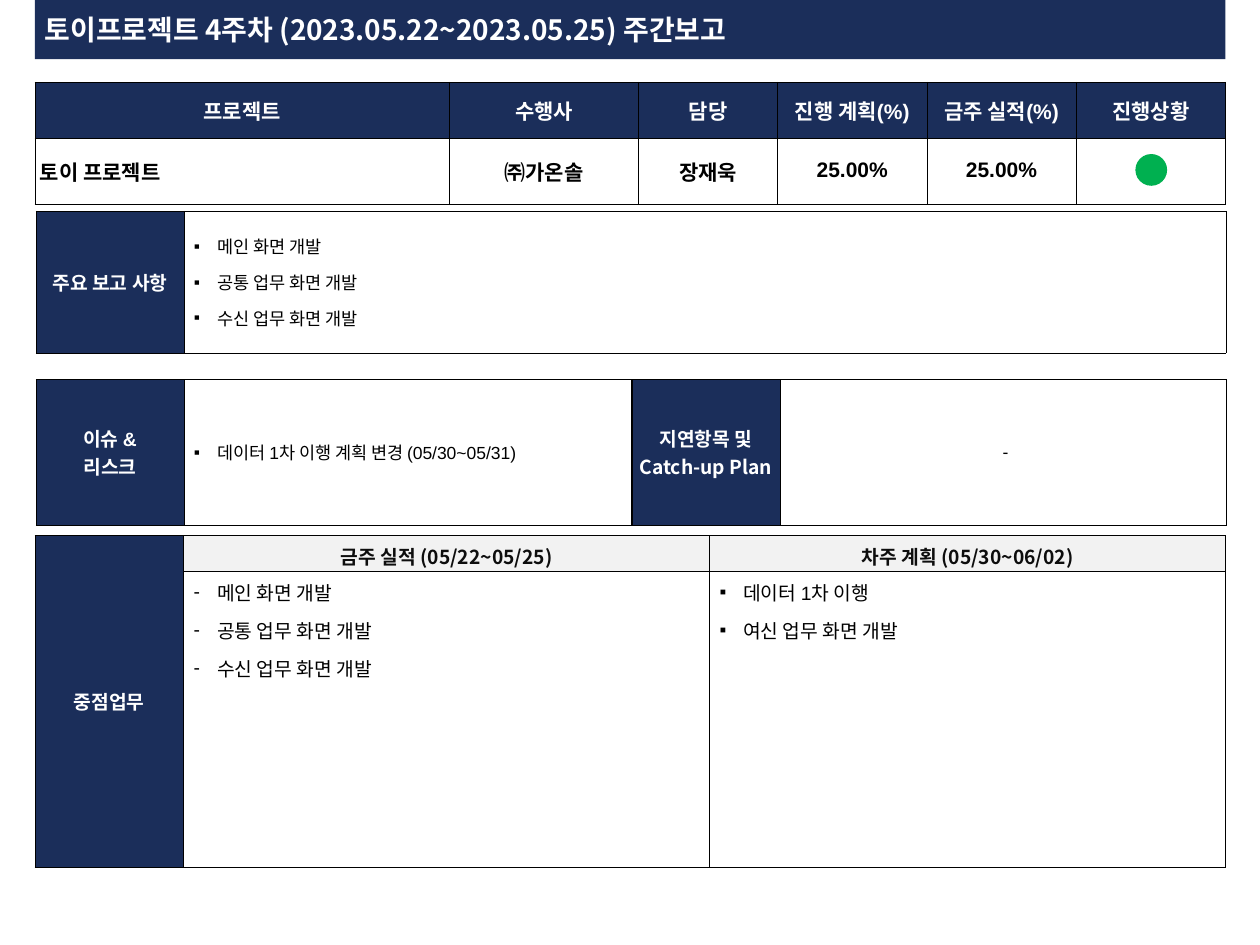
import dataclasses

import lxml.etree
import pptx
import pptx.dml.color
import pptx.enum.shapes
import pptx.enum.text
import pptx.oxml.ns
import pptx.util

Pt = pptx.util.Pt
qn = pptx.oxml.ns.qn
ANCHOR = pptx.enum.text.MSO_ANCHOR
ALIGN = pptx.enum.text.PP_ALIGN


@dataclasses.dataclass(frozen=True)
class Theme:
    navy: str = "1B2E5A"
    white: str = "FFFFFF"
    black: str = "000000"
    ink: str = "0D0D0D"
    pale: str = "F2F2F2"
    green: str = "00B050"
    latin: str = "Arial"
    korean: str = "Noto Sans CJK KR"
    title: float = 16
    heading: float = 12
    label: float = 11
    body: float = 10
    border: float = 0.25
    indent: float = 13.5


@dataclasses.dataclass(frozen=True)
class CellStyle:
    size: float
    color: str
    fill: str = ""
    font: str = "Arial"
    bold: bool = True
    bullet: str = ""
    align: ALIGN = ALIGN.CENTER
    anchor: ANCHOR = ANCHOR.MIDDLE
    before: float = 0
    after: float = 0
    line: float = 1.0
    margins: tuple = (2.9, 3.6, 2.9, 3.6)


def rgb(value):
    return pptx.dml.color.RGBColor.from_string(value)


class Report:
    def __init__(self, slide, theme):
        self.slide = slide
        self.theme = theme

    def shape(self, kind, left, top, width, height, color, outlined=False):
        shape = self.slide.shapes.add_shape(kind, Pt(left), Pt(top), Pt(width), Pt(height))
        shape.shadow.inherit = False
        shape.fill.solid()
        shape.fill.fore_color.rgb = rgb(color)
        if outlined:
            shape.line.color.rgb = rgb(color)
            shape.line.width = Pt(0.75)
        else:
            shape.line.fill.background()

    def title(self, left, top, width, height, text):
        box = self.slide.shapes.add_textbox(Pt(left), Pt(top), Pt(width), Pt(height))
        frame = box.text_frame
        frame.word_wrap = False
        style = CellStyle(self.theme.title, self.theme.white, font=self.theme.korean,
                          align=ALIGN.LEFT, margins=(5.7, 2.9, 5.7, 2.9))
        frame.vertical_anchor = style.anchor
        (frame.margin_left, frame.margin_top,
         frame.margin_right, frame.margin_bottom) = map(Pt, style.margins)
        self.add_lines(frame, [text], style)

    def add_lines(self, frame, lines, style):
        for index, text in enumerate(lines):
            paragraph = frame.add_paragraph() if index else frame.paragraphs[0]
            paragraph.alignment = style.align
            paragraph.space_before = Pt(style.before)
            paragraph.space_after = Pt(style.after)
            paragraph.line_spacing = style.line
            if style.bullet:
                self.bullet(paragraph, style.bullet)
            run = paragraph.add_run()
            run.text = text
            run.font.size = Pt(style.size)
            run.font.bold = style.bold
            run.font.name = style.font
            run.font.color.rgb = rgb(style.color)
            east_asian = lxml.etree.Element(qn("a:ea"), typeface=self.theme.korean)
            run._r.get_or_add_rPr().find(qn("a:latin")).addnext(east_asian)

    def bullet(self, paragraph, mark):
        properties = paragraph._p.get_or_add_pPr()
        indent = Pt(self.theme.indent)
        properties.set("marL", str(indent))
        properties.set("indent", str(-indent))
        lxml.etree.SubElement(properties, qn("a:buFont"), typeface=self.theme.latin)
        lxml.etree.SubElement(properties, qn("a:buChar"), char=mark)

    def borders(self, cell):
        properties = cell._tc.get_or_add_tcPr()
        for index, side in enumerate(("lnL", "lnR", "lnT", "lnB")):
            line = lxml.etree.Element(qn("a:" + side), w=str(Pt(self.theme.border)))
            fill = lxml.etree.SubElement(line, qn("a:solidFill"))
            lxml.etree.SubElement(fill, qn("a:srgbClr"), val=self.theme.black)
            properties.insert(index, line)

    def table(self, left, top, columns, rows, cells, merge=None):
        """Draw a grid; cells maps (row, column) to (lines, style)."""
        table = self.slide.shapes.add_table(
            len(rows), len(columns), Pt(left), Pt(top), Pt(sum(columns)), Pt(sum(rows))).table
        table.first_row = table.horz_banding = False
        for column, width in zip(table.columns, columns):
            column.width = Pt(width)
        for row, height in zip(table.rows, rows):
            row.height = Pt(height)
        for cell in table.iter_cells():
            cell.fill.background()
            self.borders(cell)
        if merge:
            start, end = merge
            table.cell(*start).merge(table.cell(*end))
        for position, (lines, style) in cells.items():
            cell = table.cell(*position)
            if style.fill:
                cell.fill.solid()
                cell.fill.fore_color.rgb = rgb(style.fill)
            cell.vertical_anchor = style.anchor
            (cell.margin_left, cell.margin_top,
             cell.margin_right, cell.margin_bottom) = map(Pt, style.margins)
            self.add_lines(cell.text_frame, lines, style)


def main():
    presentation = pptx.Presentation()
    presentation.slide_width, presentation.slide_height = Pt(720), Pt(540)
    theme = Theme()
    report = Report(presentation.slides.add_slide(presentation.slide_layouts[6]), theme)
    shapes = pptx.enum.shapes.MSO_SHAPE
    vary = dataclasses.replace
    left, inner_left, width = 19.9, 20.6, 680.4

    # Cell styles
    heading = CellStyle(theme.heading, theme.white, theme.navy, before=2.4, margins=(2.9,) * 4)
    value = vary(heading, color=theme.black, fill="")
    percent = vary(value, line=0.9)
    label = CellStyle(theme.label, theme.white, theme.navy)
    korean_label = vary(label, font=theme.korean)
    period = vary(korean_label, color=theme.ink, fill=theme.pale, before=2.2)
    note = CellStyle(theme.body, theme.black, bold=False, after=6, margins=(5.7, 3.6, 2.9, 3.6))
    bullets = vary(note, bullet="▪", align=ALIGN.LEFT)
    tasks = vary(bullets, size=theme.label, anchor=ANCHOR.TOP)
    done = vary(tasks, bullet="-")

    # Title band
    report.shape(shapes.RECTANGLE, left, 0, width, 33.8, theme.navy)
    report.title(left, 4.4, 421, 25.2, "토이프로젝트 4주차 (2023.05.22~2023.05.25) 주간보고")

    # Project summary with status light
    headings = ["프로젝트", "수행사", "담당", "진행 계획(%)", "금주 실적(%)", "진행상황"]
    summary = {(0, column): ([text], heading) for column, text in enumerate(headings)}
    values = [("토이 프로젝트", vary(value, font=theme.korean, align=ALIGN.LEFT)),
              ("㈜가온솔", vary(value, font=theme.korean)),
              ("장재욱", vary(value, before=6)),
              ("25.00%", percent), ("25.00%", percent)]
    summary.update({(1, column): ([text], style) for column, (text, style) in enumerate(values)})
    report.table(left, 46.9, [237, 108, 79.5] + [85.3] * 3, [32.2, 37.6], summary)
    report.shape(shapes.OVAL, 649.2, 88.4, 17.4, 17.4, theme.green, outlined=True)

    # Key work: this week and next week
    screens = ["메인 화면 개발", "공통 업무 화면 개발", "수신 업무 화면 개발"]
    report.table(left, 306, [85, 300.6, 294.8], [18.7, 169], {
        (0, 0): (["중점업무"], korean_label),
        (0, 1): (["금주 실적 (05/22~05/25)"], period),
        (0, 2): (["차주 계획 (05/30~06/02)"], period),
        (1, 1): (screens, done),
        (1, 2): (["데이터 1차 이행", "여신 업무 화면 개발"], tasks),
    }, merge=((0, 0), (1, 0)))

    # Labelled panels: main report, issues, delays
    panels = [
        (inner_left, 120.6, 595.4, 81.2, ["주요 보고 사항"], label, screens, bullets),
        (inner_left, 216.7, 255.4, 83.5, ["이슈 &", "리스크"], label,
         ["데이터 1차 이행 계획 변경 (05/30~05/31)"], bullets),
        (361.2, 216.7, 255.2, 83.5, ["지연항목 및", "Catch-up Plan"], korean_label, ["-"], note),
    ]
    for panel_left, top, body_width, height, name, name_style, lines, style in panels:
        report.table(panel_left, top, [84.5, body_width], [height],
                     {(0, 0): (name, name_style), (0, 1): (lines, style)})

    presentation.save("out.pptx")


if __name__ == "__main__":
    main()
